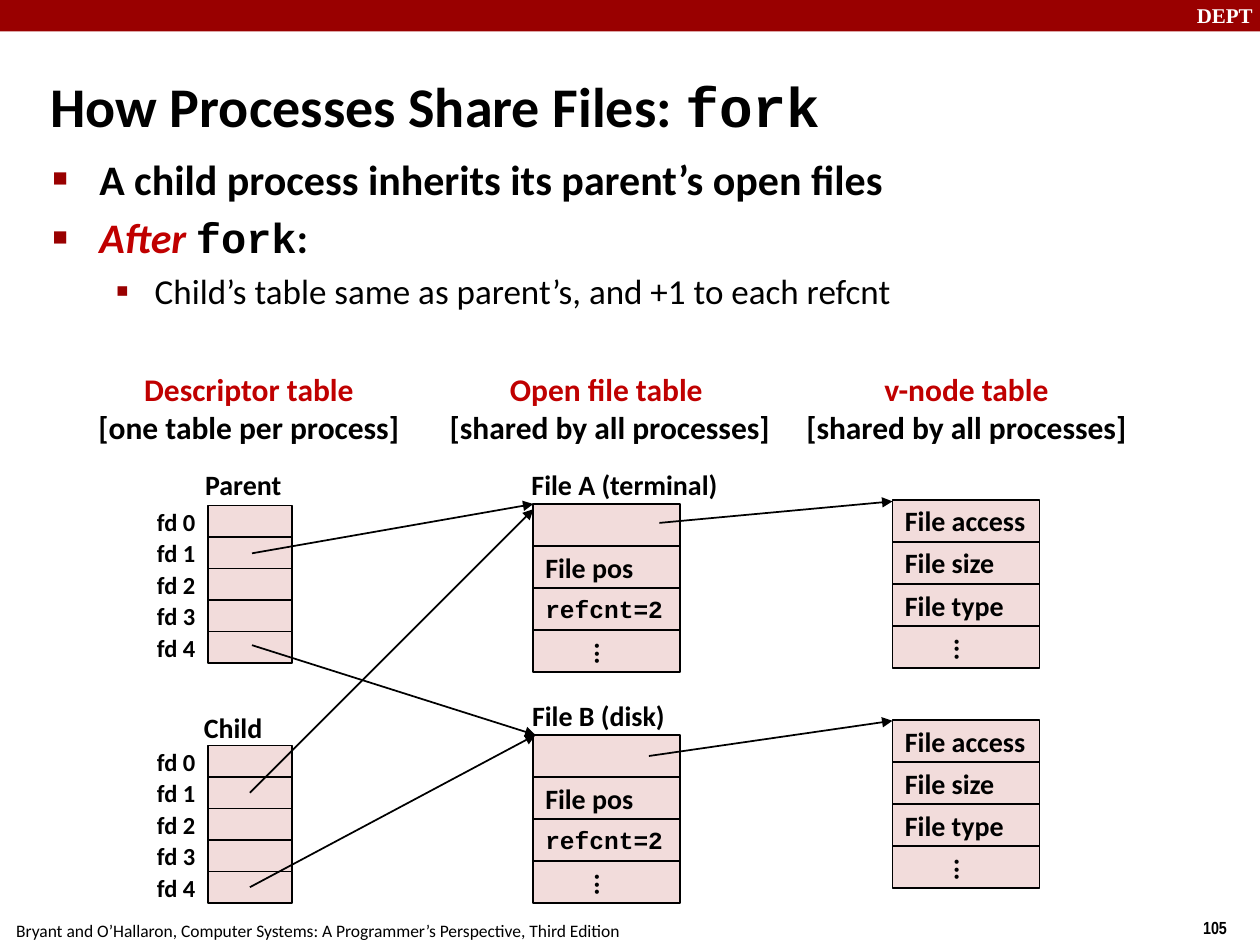
"""Draw how parent and child processes share open files after fork."""
import dataclasses
import typing

import lxml.etree
import pptx
import pptx.dml.color
import pptx.enum.shapes
import pptx.enum.text
import pptx.oxml.ns
import pptx.util

COLS, ROWS = 120, 90
WIDE, HIGH = pptx.util.Inches(10), pptx.util.Inches(7.5)
BLACK, RED, DARK, PINK, WHITE = "000000", "C00000", "990000", "F2DCDB", "FFFFFF"
SANS, MONO, SERIF = "Calibri", "Courier New", "Times New Roman"
ALIGN = pptx.enum.text.PP_ALIGN
ANCHOR = pptx.enum.text.MSO_ANCHOR
RECT = pptx.enum.shapes.MSO_SHAPE.RECTANGLE
LINE = pptx.enum.shapes.MSO_CONNECTOR.STRAIGHT


@dataclasses.dataclass(frozen=True)
class Run:
    """A stretch of text in one format."""
    text: str
    size: float = 16
    name: str = SANS
    bold: bool = True
    italic: bool = False
    tint: str = BLACK


@dataclasses.dataclass(frozen=True)
class Para:
    """A paragraph, with a bullet if it has a mark."""
    runs: tuple
    align: typing.Any = ALIGN.LEFT
    mark: str = ""
    scale: int = 100
    left: float = 0
    hang: float = 0
    space: float = 0


@dataclasses.dataclass(frozen=True)
class Box:
    """A place on the grid, in columns and rows."""
    col: float
    row: float
    cols: float
    rows: float

    def place(self) -> tuple:
        """Return left, top, width and height as lengths."""
        return across(self.col), down(self.row), across(self.cols), down(self.rows)


@dataclasses.dataclass(frozen=True)
class Stack:
    """A column of equal cells, each with its text or nothing."""
    col: float
    row: float
    cols: float
    rows: float
    cells: tuple


def across(cols: float) -> int:
    """Turn grid columns into a length."""
    return round(WIDE * cols / COLS)


def down(rows: float) -> int:
    """Turn grid rows into a length."""
    return round(HIGH * rows / ROWS)


def shade(hue: str) -> pptx.dml.color.RGBColor:
    """Turn a hex string into a colour."""
    return pptx.dml.color.RGBColor.from_string(hue)


def assign(thing: typing.Any, values: dict) -> None:
    """Set every attribute named in the values."""
    for key, value in values.items():
        setattr(thing, key, value)


def child(host: typing.Any, tag: str, **values: str) -> typing.Any:
    """Append an XML element with the given attributes."""
    return lxml.etree.SubElement(host, pptx.oxml.ns.qn(tag), values)


def bullet(para: typing.Any, item: Para) -> None:
    """Give a paragraph its indent and bullet."""
    props = para._p.get_or_add_pPr()
    props.set("marL", str(pptx.util.Inches(item.left)))
    props.set("indent", str(pptx.util.Inches(-item.hang)))
    child(child(props, "a:buClr"), "a:srgbClr", val=DARK)
    child(props, "a:buSzPct", val=str(item.scale * 1000))
    child(props, "a:buFont", typeface=SERIF)
    child(props, "a:buChar", char=item.mark)


def fill(frame: typing.Any, items: tuple, wrap: bool, anchor: typing.Any) -> None:
    """Write paragraphs into a text frame."""
    assign(frame, {"word_wrap": wrap, "vertical_anchor": anchor})
    for spot, item in enumerate(items):
        para = frame.add_paragraph() if spot else frame.paragraphs[0]
        assign(para, {"alignment": item.align,
                      "space_before": pptx.util.Pt(item.space)})
        if item.mark:
            bullet(para, item)
        for part in item.runs:
            run = para.add_run()
            run.text = part.text
            assign(run.font, {"size": pptx.util.Pt(part.size), "name": part.name,
                              "bold": part.bold, "italic": part.italic})
            run.font.color.rgb = shade(part.tint)


def label(slide: typing.Any, box: Box, items: tuple, wrap: bool = False,
          anchor: typing.Any = ANCHOR.MIDDLE) -> None:
    """Add a text box."""
    fill(slide.shapes.add_textbox(*box.place()).text_frame, items, wrap, anchor)


def block(slide: typing.Any, box: Box, hue: str, edge: str = "") -> typing.Any:
    """Add a plain rectangle, with an outline if it has an edge colour."""
    shape = slide.shapes.add_shape(RECT, *box.place())
    shape.shadow.inherit = False
    shape.fill.solid()
    shape.fill.fore_color.rgb = shade(hue)
    if edge:
        shape.line.color.rgb = shade(edge)
        shape.line.width = pptx.util.Pt(1)
    else:
        shape.line.fill.background()
    return shape


def pile(slide: typing.Any, stack: Stack) -> None:
    """Draw the cells of a stack from top to bottom."""
    for spot, run in enumerate(stack.cells):
        row = stack.row + spot * stack.rows
        shape = block(slide, Box(stack.col, row, stack.cols, stack.rows), PINK, BLACK)
        if run:
            frame = shape.text_frame
            fill(frame, (Para((run,)),), False, ANCHOR.MIDDLE)
            if run is DOTS:
                frame._txBody.bodyPr.set("vert", "vert")
                thin, thick = pptx.util.Inches(0.05), pptx.util.Inches(0.1)
                assign(frame, {"margin_left": thin, "margin_right": thin,
                               "margin_top": thick, "margin_bottom": thick})


def arrow(slide: typing.Any, col: float, row: float, goal: float, end: float) -> None:
    """Draw an arrow between two grid points."""
    link = slide.shapes.add_connector(LINE, across(col), down(row),
                                      across(goal), down(end))
    link.line.color.rgb = shade(BLACK)
    link.line.width = pptx.util.Pt(1)
    child(link.line._get_or_add_ln(), "a:tailEnd", type="triangle")
    child(link._element.spPr, "a:effectLst")


DOTS = Run("...")
OPEN = (None, Run("File pos"), Run("refcnt=2", 14, MONO), DOTS)
NODE = (Run("File access"), Run("File size"), Run("File type"), DOTS)
SLOTS = 5
FDS = (48.15, 71)
STACKS = (
    *(Stack(19.8, row, 8, 3, (None,) * SLOTS) for row in FDS),
    *(Stack(50.75, row, 14, 4, OPEN) for row in (48, 70)),
    *(Stack(85, row, 14, 4, NODE) for row in (47.6, 68.6)),
)
HEADS = (
    (8.16, 31.1, "Descriptor table", "[one table per process]"),
    (41.64, 32.9, "Open file table ", "[shared by all processes]"),
    (75.6, 32.9, "v-node table", "[shared by all processes]"),
)
NAMES = ((18.36, 44, 12, "Parent"), (18.24, 67.1, 10, "Child"),
         (49.44, 44, 23, "File A (terminal)"), (49.5, 66, 17, "File B (disk)"))
LINKS = (
    (24, 52.7, 50.8, 48), (24, 61.45, 51, 70),
    (62.8, 49.8, 85, 47.75), (61.8, 72, 85, 68.65),
    (23.8, 75.5, 50.8, 48.5), (23.8, 84.5, 51, 70),
)
FOOT = "Bryant and O’Hallaron, Computer Systems: A Programmer’s Perspective, Third Edition"
TITLE = Para((Run("How Processes Share Files: ", 32), Run("fork", 32, MONO)))
MAIN = {"mark": "■", "scale": 60, "left": 0.37, "hang": 0.37}
POINTS = (
    Para((Run("A child process inherits its parent’s open files", 24),), **MAIN),
    Para((Run("After ", 24, italic=True, tint=RED), Run("fork", 24, MONO),
          Run(":", 24)), space=4.8, **MAIN),
    Para((Run("Child’s table same as parent’s, and +1 to each refcnt", 20, bold=False),),
         mark="▪", scale=110, left=0.81, hang=0.31, space=4),
)


def main() -> None:
    """Build the slide and save it."""
    deck = pptx.Presentation()
    assign(deck, {"slide_width": WIDE, "slide_height": HIGH})
    slide = deck.slides.add_slide(deck.slide_layouts[6])
    block(slide, Box(0, 0, COLS, 3), DARK)
    for box, run in ((Box(112.8, -0.36, 8, 3.6), Run("DEPT", 12, SERIF, tint=WHITE)),
                     (Box(113.4, 86.75, 6, 3.5), Run("105", 10, "Arial Narrow")),
                     (Box(0.36, 87, 59.9, 3.1), Run(FOOT, 10, bold=False))):
        label(slide, box, (Para((run,)),), anchor=ANCHOR.TOP)
    label(slide, Box(3.6, 5, 99.6, 10), (TITLE,), True)
    label(slide, Box(3.84, 14, 109, 17), POINTS, True, ANCHOR.TOP)
    for col, cols, top, note in HEADS:
        lines = (Run(top, 18, tint=RED), Run(note, 18))
        label(slide, Box(col, 34.65, cols, 8.4),
              tuple(Para((run,), ALIGN.CENTER) for run in lines))
    for stack in STACKS:
        pile(slide, stack)
    for row in FDS:
        for slot in range(SLOTS):
            label(slide, Box(11.8, row + 3 * slot, 8, 3),
                  (Para((Run(f"fd {slot}", 14),), ALIGN.RIGHT),))
    for col, row, cols, name in NAMES:
        label(slide, Box(col, row, cols, 4.3), (Para((Run(name),)),))
    for link in LINKS:
        arrow(slide, *link)
    deck.save("out.pptx")


if __name__ == "__main__":
    main()
